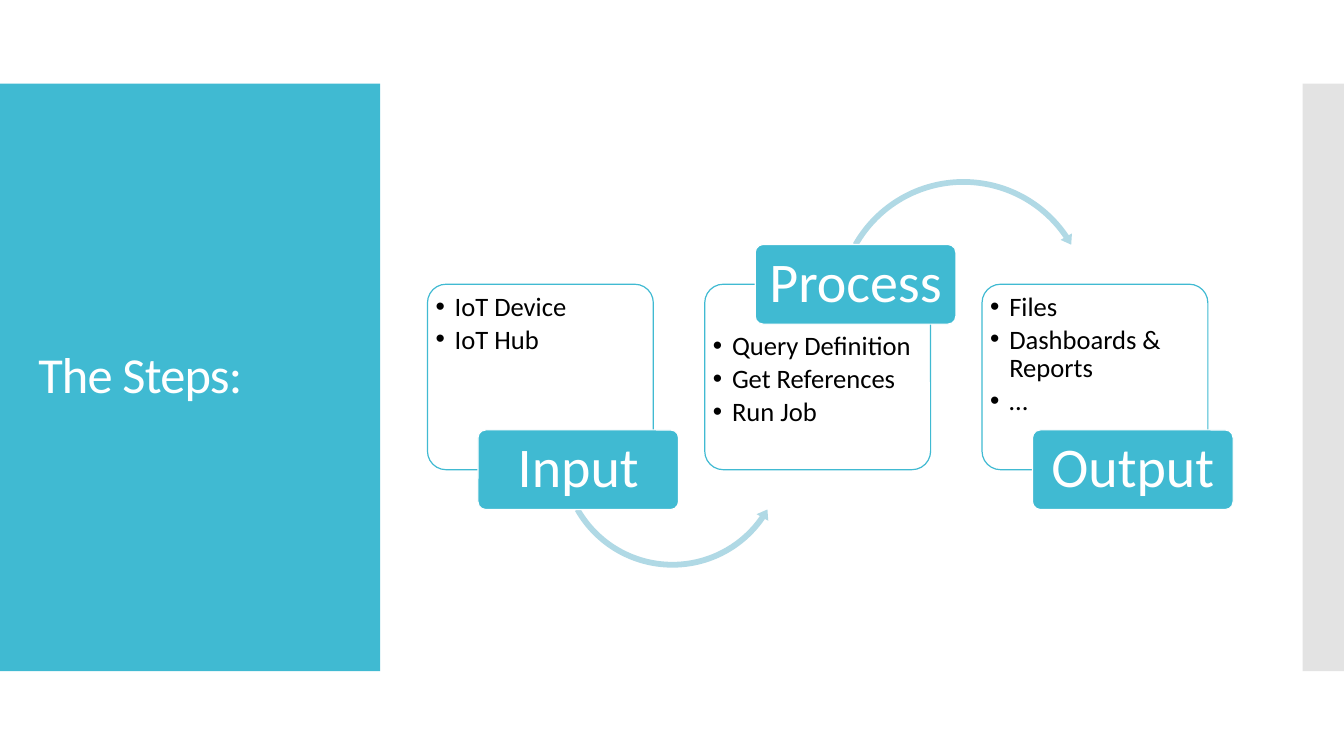
from pptx import Presentation
from pptx.dml.color import RGBColor
from pptx.enum import shapes as sh, text as tx
from pptx.oxml import parse_xml
from pptx.oxml.ns import nsdecls
from pptx.util import Inches, Pt

TITLE = "The Steps:"
STEPS = [
    {"label": "Input", "items": ["IoT Device", "IoT Hub"], "label_on_top": False},
    {"label": "Process", "items": ["Query Definition", "Get References", "Run Job"],
     "label_on_top": True},
    {"label": "Output", "items": ["Files", "Dashboards & Reports", "…"],
     "label_on_top": False},
]
ARROWS = [
    {"kind": sh.MSO_SHAPE.LEFT_CIRCULAR_ARROW, "box": (5.52, 3.37, 2.3, 2.3),
     "bends": (0.025, 2.967, 20.723, 90.245, 0.029)},
    {"kind": sh.MSO_SHAPE.CIRCULAR_ARROW, "box": (8.26, 1.74, 2.59, 2.59),
     "bends": (0.022, 2.623, 195.621, 125.755, 0.025)},
]
PANELS = [((0, 0.83, 3.77, 5.83), "40BAD2", 100),
          ((12.92, 0.83, 0.42, 5.83), "C8C8C8", 50)]
TEAL, PALE, WHITE, BLACK = "40BAD2", "B0D9E5", "FFFFFF", "000000"
CARD_LEFT, CARD_TOP, CARD_STEP = 4.24, 2.82, 2.75
CARD_W, CARD_H = 2.24, 1.84
LABEL_W, LABEL_H, LABEL_SHIFT = 1.99, 0.79, 0.5

TITLE_FRAME = {"vertical_anchor": tx.MSO_ANCHOR.MIDDLE, "word_wrap": True,
               "auto_size": tx.MSO_AUTO_SIZE.NONE}
LABEL_FRAME = {**TITLE_FRAME, "margin_left": Inches(0.1), "margin_right": Inches(0.1),
               "margin_top": Inches(0.08), "margin_bottom": Inches(0.08)}
LIST_FRAME = {**TITLE_FRAME, "vertical_anchor": tx.MSO_ANCHOR.TOP,
              **{f"margin_{side}": Inches(0.04)
                 for side in ("left", "right", "top", "bottom")}}
TITLE_PARA = {"alignment": tx.PP_ALIGN.LEFT, "line_spacing": 0.9,
              "space_before": Pt(0), "space_after": Pt(0)}
LABEL_PARA = {**TITLE_PARA, "alignment": tx.PP_ALIGN.CENTER}
LIST_PARA = {**TITLE_PARA, "space_after": Pt(2.85)}


def color(hex_string):
    return RGBColor.from_string(hex_string)


def apply(target, values):
    for key, value in values.items():
        setattr(target, key, value)


def place(shape, box):
    apply(shape, dict(zip(("left", "top", "width", "height"), map(Inches, box))))


def add_part(kind, box, fill, opacity=100, line=None):
    part = slide.shapes.add_shape(kind, *map(Inches, box))
    part.shadow.inherit = False
    part.fill.solid()
    part.fill.fore_color.rgb = color(fill)
    if opacity < 100:
        part.fill._xPr.solidFill[0].append(
            parse_xml(f'<a:alpha {nsdecls("a")} val="{opacity * 1000}"/>'))
    if line:
        part.line.color.rgb = color(line)
        part.line.width = Pt(0.85)
    else:
        part.line.fill.background()
    return part


def write(shape, lines, size, ink, frame_format, para_format):
    frame = shape.text_frame
    frame.text = "\n".join(lines)
    apply(frame, frame_format)
    for para in frame.paragraphs:
        apply(para, para_format)
        apply(para.runs[0].font, {"name": "Calibri", "size": Pt(size), "bold": False})
        para.runs[0].font.color.rgb = color(ink)


def add_bullets(shape):
    for para in shape.text_frame.paragraphs:
        props = para._p.get_or_add_pPr()
        props.set("marL", str(Inches(0.19)))
        props.set("indent", str(-Inches(0.19)))
        props.append(parse_xml(f'<a:buFont {nsdecls("a")} typeface="Arial"/>'))
        props.append(parse_xml(f'<a:buChar {nsdecls("a")} char="•"/>'))


def bring_forward(shape):
    slide.shapes._spTree.append(shape._element)


prs = Presentation()
prs.slide_width, prs.slide_height = Inches(13.33), Inches(7.5)
slide = prs.slides.add_slide(prs.slide_layouts[4])
title = slide.shapes.title
*step_lists, spare = [p for p in slide.placeholders if p.placeholder_format.idx in range(1, 5)]
spare._element.getparent().remove(spare._element)

for box, fill, opacity in PANELS:
    add_part(sh.MSO_SHAPE.RECTANGLE, box, fill, opacity)

place(title, (0.28, 1.23, 3.22, 5.03))
write(title, [TITLE], 36, WHITE, TITLE_FRAME, TITLE_PARA)
title.text_frame.paragraphs[0].runs[0].font._element.set("spc", "-60")
bring_forward(title)

for i, (step, step_list) in enumerate(zip(STEPS, step_lists)):
    left = CARD_LEFT + i * CARD_STEP
    on_top = step["label_on_top"]
    card = add_part(sh.MSO_SHAPE.ROUNDED_RECTANGLE, (left, CARD_TOP, CARD_W, CARD_H),
                    WHITE, 90, TEAL)
    card.adjustments[0] = 0.1

    list_top = CARD_TOP + (0.44 if on_top else 0.05)
    place(step_list, (left + 0.04, list_top, 2.15, 1.36))
    write(step_list, step["items"], 19, BLACK, LIST_FRAME, LIST_PARA)
    add_bullets(step_list)
    bring_forward(step_list)

    if i < len(ARROWS):
        arrow = add_part(ARROWS[i]["kind"], ARROWS[i]["box"], PALE)
        for n, bend in enumerate(ARROWS[i]["bends"]):
            arrow.adjustments[n] = bend

    label_top = CARD_TOP + (0 if on_top else CARD_H) - LABEL_H / 2
    label = add_part(sh.MSO_SHAPE.ROUNDED_RECTANGLE,
                     (left + LABEL_SHIFT, label_top, LABEL_W, LABEL_H), TEAL, line=WHITE)
    label.adjustments[0] = 0.1
    write(label, [step["label"]], 40, WHITE, LABEL_FRAME, LABEL_PARA)

prs.save("out.pptx")
